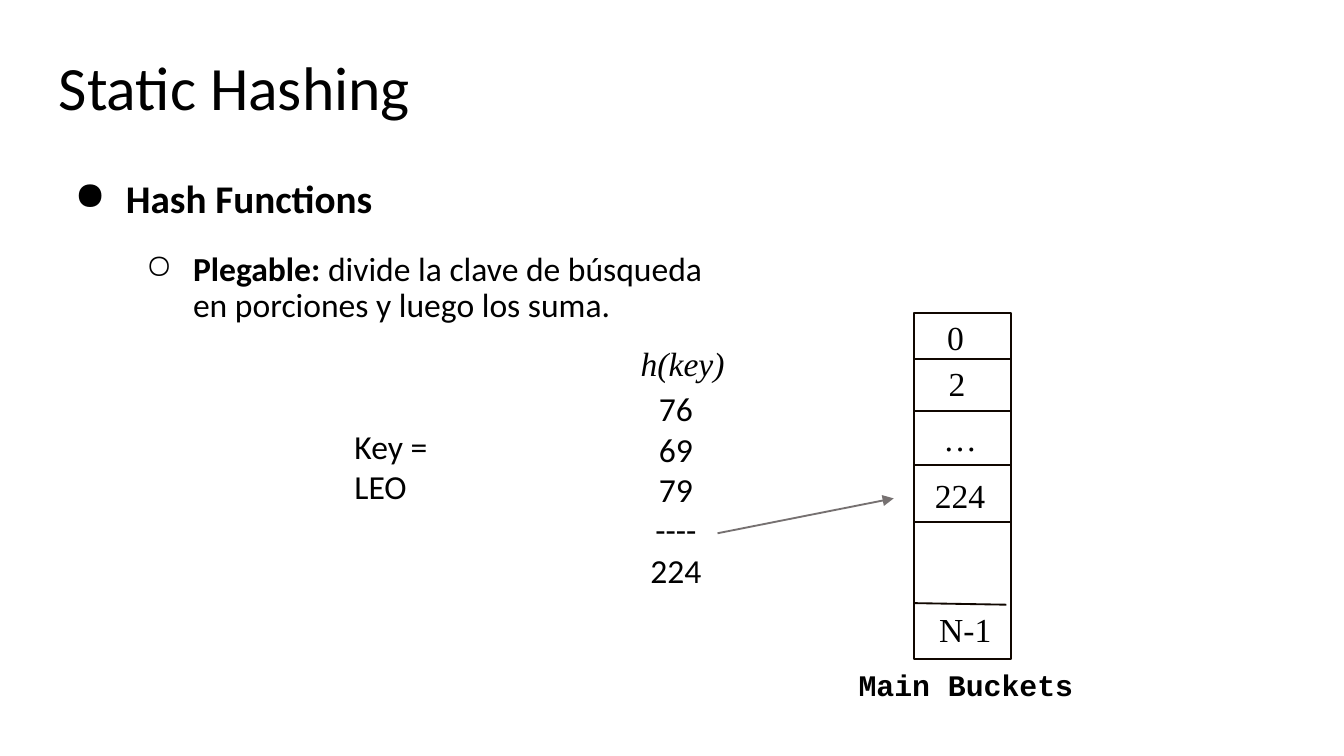
import pptx
import pptx.dml.color
import pptx.enum.shapes
import pptx.enum.text
import pptx.oxml.ns
import pptx.util
from lxml import etree
from pptx.util import Cm, Pt

BLACK, LINE, ARROW = "000000", "100700", "767171"
SERIF = "Times New Roman"
ALIGN = pptx.enum.text.PP_ALIGN


def color(hex_string):
    return pptx.dml.color.RGBColor.from_string(hex_string)


def add_xml(parent, tag, **attributes):
    etree.SubElement(parent, pptx.oxml.ns.qn(tag), **attributes)


def add_run(p, text, size=18, font="Calibri", bold=False, italic=False):
    r = p.add_run()
    r.text = text
    r.font.size, r.font.name = Pt(size), font
    r.font.bold, r.font.italic = bold, italic
    r.font.color.rgb = color(BLACK)


def set_frame(tf, inset=0.13, wrap=True):
    """Set wrapping and the vertical inset in cm; the side insets are fixed."""
    tf.word_wrap = wrap
    tf.auto_size = pptx.enum.text.MSO_AUTO_SIZE.NONE
    tf.vertical_anchor = pptx.enum.text.MSO_ANCHOR.TOP
    tf.margin_left = tf.margin_right = Cm(0.25)
    tf.margin_top = tf.margin_bottom = Cm(inset)


def add_text(slide, text, left, top, width, height=1.02, align=ALIGN.LEFT,
             wrap=False, **font):
    """Add a text box with one paragraph for each line of text."""
    tf = slide.shapes.add_textbox(Cm(left), Cm(top), Cm(width), Cm(height)).text_frame
    set_frame(tf, wrap=wrap)
    for i, line in enumerate(text.split("\n")):
        p = tf.paragraphs[0] if i == 0 else tf.add_paragraph()
        p.alignment = align
        add_run(p, line, **font)


def set_bullet(p, char, level, left, hanging):
    p.level = level
    p.line_spacing = 0.9
    pPr = p._p.get_or_add_pPr()
    pPr.set("marL", str(Cm(left)))
    pPr.set("indent", str(-Cm(hanging)))
    add_xml(pPr, "a:buChar", char=char)


def add_title(slide, text):
    sp = slide.shapes.title
    sp.left, sp.top, sp.width, sp.height = Cm(0.86), Cm(0.84), Cm(23.67), Cm(1.96)
    set_frame(sp.text_frame, inset=0.25)
    p = sp.text_frame.paragraphs[0]
    p.alignment, p.line_spacing = ALIGN.LEFT, 0.9
    add_run(p, text, size=33)


def add_body(slide):
    tf = slide.shapes.add_textbox(Cm(0.86), Cm(3.15), Cm(13.11), Cm(10.29)).text_frame
    set_frame(tf, inset=0.25)
    p = tf.paragraphs[0]
    set_bullet(p, "●", 0, 1.27, 0.97)
    add_run(p, "Hash Functions", size=21, bold=True)
    p = tf.add_paragraph()
    set_bullet(p, "○", 1, 2.54, 0.89)
    p.space_before = Pt(16)
    add_run(p, "Plegable: ", bold=True)
    add_run(p, "divide la clave de búsqueda en porciones y luego los suma.")


def add_line(slide, x1, y1, x2, y2, line=LINE, arrow=False):
    cxn = slide.shapes.add_connector(
        pptx.enum.shapes.MSO_CONNECTOR.STRAIGHT, Cm(x1), Cm(y1), Cm(x2), Cm(y2))
    cxn.line.color.rgb = color(line)
    cxn.line.width = Pt(1)
    spPr = cxn._element.spPr
    if arrow:
        add_xml(spPr.get_or_add_ln(), "a:tailEnd", type="triangle")
    add_xml(spPr, "a:effectLst")


def add_buckets(slide):
    left, top, width, height = 17.27, 5.92, 1.84, 6.54
    sp = slide.shapes.add_shape(pptx.enum.shapes.MSO_SHAPE.RECTANGLE,
                                Cm(left), Cm(top), Cm(width), Cm(height))
    sp.shadow.inherit = False
    sp.fill.background()
    sp.line.color.rgb = color(LINE)
    sp.line.width = Pt(1)
    for y in (6.78, 7.77, 8.79, 9.86):
        add_line(slide, left, y, left + width, y)
    add_line(slide, left, 11.4, 19.02, 11.43)
    for text, x, y, w in (("0", 17.65, 5.87, 0.84), ("2", 17.68, 6.73, 0.84),
                          ("…", 17.58, 7.77, 1.14), ("224", 17.42, 8.84, 1.47),
                          ("N-1", 17.5, 11.38, 1.5)):
        add_text(slide, text, x, y, w, font=SERIF)
    add_text(slide, "Main Buckets", 14.99, 12.47, 6.53, 0.94, align=ALIGN.CENTER,
             wrap=True, size=16, font="Courier New", bold=True)


def main():
    prs = pptx.Presentation()
    prs.slide_width, prs.slide_height = Cm(25.4), Cm(14.29)
    slide = prs.slides.add_slide(prs.slide_layouts[5])
    add_title(slide, "Static Hashing")
    add_body(slide)
    add_text(slide, "Key = LEO", 6.45, 7.92, 2.95, 1.8, wrap=True)
    add_text(slide, "h(key)", 11.86, 6.35, 2.11, font=SERIF, italic=True)
    add_text(slide, "76\n69\n79\n----\n224", 11.99, 7.21, 1.57, 4.11,
             align=ALIGN.CENTER, wrap=True)
    add_buckets(slide)
    add_line(slide, 13.56, 10.08, 16.89, 9.42, line=ARROW, arrow=True)
    prs.save("out.pptx")


if __name__ == "__main__":
    main()
